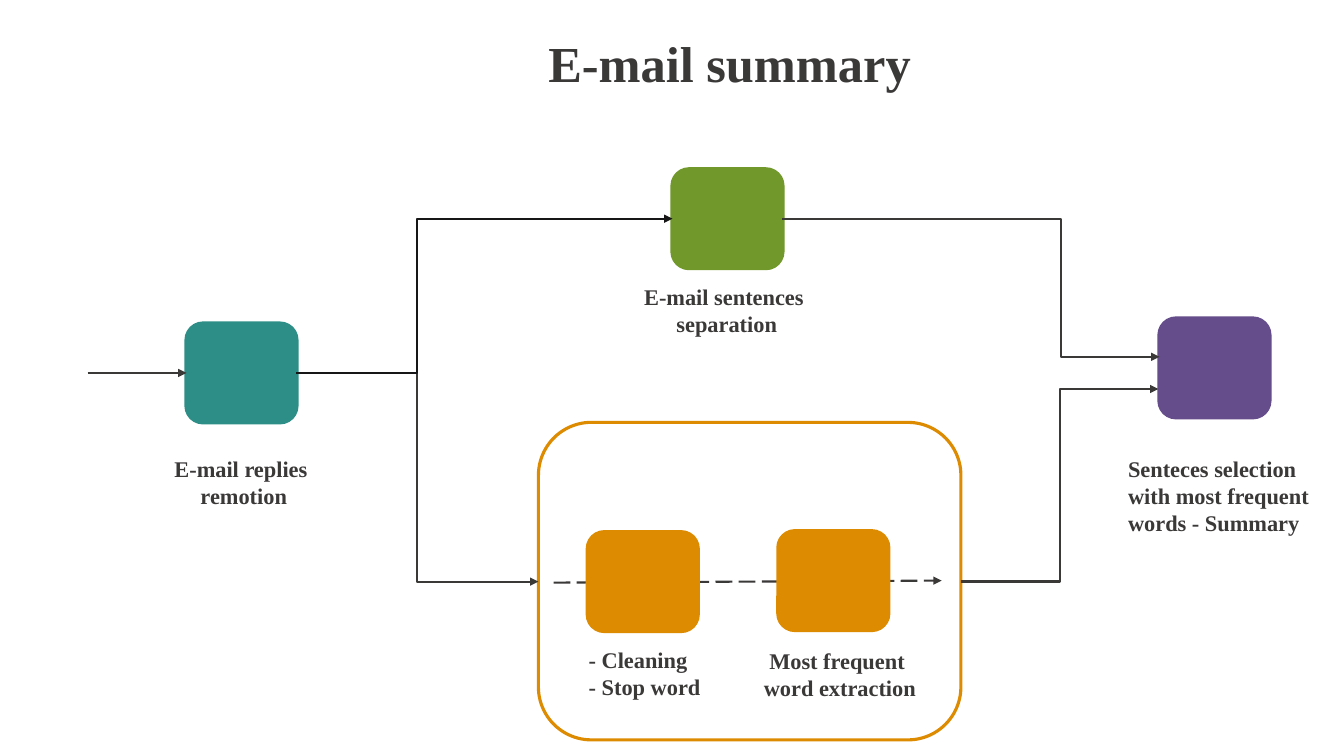
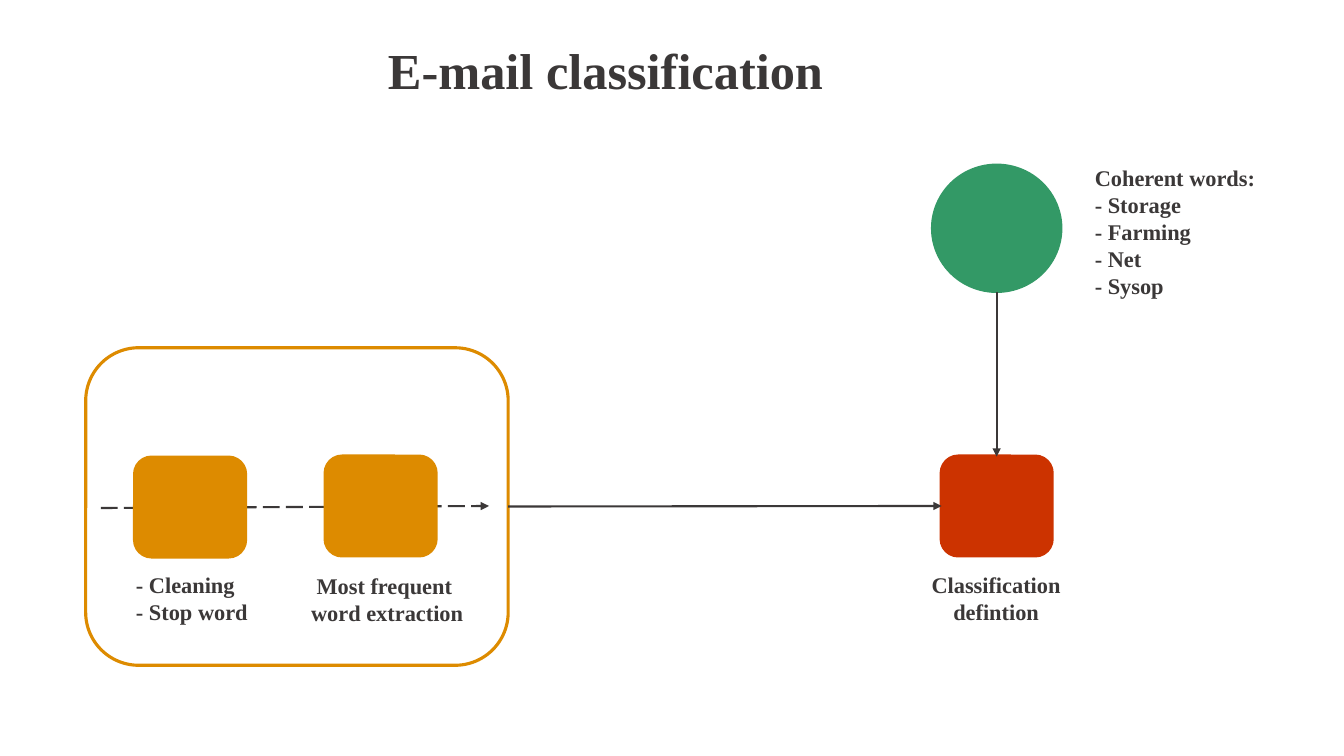
import dataclasses

import lxml.etree
import pptx
import pptx.dml.color
import pptx.enum.dml
import pptx.enum.shapes
import pptx.enum.text
import pptx.oxml.ns
import pptx.util

SHAPE = pptx.enum.shapes.MSO_SHAPE
CONNECTOR = pptx.enum.shapes.MSO_CONNECTOR
ALIGN = pptx.enum.text.PP_ALIGN
TOP, LEFT, BOTTOM, RIGHT = range(4)


@dataclasses.dataclass(frozen=True)
class Theme:
    font: str = "Times New Roman"
    title_size: float = 36
    label_size: float = 16
    ink: str = "3B3838"
    black: str = "181717"
    teal: str = "2D8E87"
    olive: str = "71982B"
    orange: str = "DD8B00"
    purple: str = "654C8A"
    red: str = "CC3300"
    green: str = "339966"
    arrow_width: float = 1.5
    frame_width: float = 2.25
    step_width: float = 3


class FlowDeck:
    """Draws flow charts on a grid of square cells, 75 rows to the slide."""

    ROWS = 75
    STEP = (10.9, 9.8)

    def __init__(self, theme):
        self.theme = theme
        self.deck = pptx.Presentation()
        self.deck.slide_width = pptx.util.Inches(13.33)
        self.deck.slide_height = pptx.util.Inches(7.5)
        self.shapes = None

    def cells(self, *counts):
        return [round(count * self.deck.slide_height / self.ROWS) for count in counts]

    def color(self, code):
        return pptx.dml.color.RGBColor.from_string(code)

    def page(self, title, column, row):
        page = self.deck.slides.add_slide(self.deck.slide_layouts[6])
        self.shapes = page.shapes
        self.text([title], column, row, 83.3, 7.1, size=self.theme.title_size)

    def text(self, lines, column, row, width, height,
             align=ALIGN.LEFT, size=None, shapes=None):
        box = (shapes or self.shapes).add_textbox(*self.cells(column, row, width, height))
        frame = box.text_frame
        frame.word_wrap = True
        frame.auto_size = pptx.enum.text.MSO_AUTO_SIZE.SHAPE_TO_FIT_TEXT
        frame.text = "\n".join(lines)
        for para in frame.paragraphs:
            para.alignment = align
            para.font.name = self.theme.font
            para.font.size = pptx.util.Pt(size or self.theme.label_size)
            para.font.bold = True
            para.font.color.rgb = self.color(self.theme.ink)

    def box(self, kind, column, row, width, height, color,
            line_width, filled=True, shapes=None):
        box = (shapes or self.shapes).add_shape(
            kind, *self.cells(column, row, width, height))
        box.shadow.inherit = False
        if filled:
            box.fill.solid()
            box.fill.fore_color.rgb = self.color(color)
        else:
            box.fill.background()
        box.line.color.rgb = self.color(color)
        box.line.width = pptx.util.Pt(line_width)
        return box

    def step(self, column, row, color, shapes=None):
        return self.box(SHAPE.ROUNDED_RECTANGLE, column, row, *self.STEP, color,
                        self.theme.step_width, shapes=shapes)

    def arrow(self, start, end, color=None, bend=None, dashed=False, shapes=None):
        """Each end is a (column, row) point or a (shape, side) pair."""
        ends = [(point, not isinstance(point[0], (int, float))) for point in (start, end)]
        points = [(0, 0) if joined else point for point, joined in ends]
        kind = CONNECTOR.STRAIGHT if bend is None else CONNECTOR.ELBOW
        arrow = (shapes or self.shapes).add_connector(
            kind, *self.cells(*points[0], *points[1]))
        for (point, joined), connect in zip(ends, (arrow.begin_connect, arrow.end_connect)):
            if joined:
                connect(*point)
        arrow.line.color.rgb = self.color(color or self.theme.ink)
        arrow.line.width = pptx.util.Pt(self.theme.arrow_width)
        if dashed:
            arrow.line.dash_style = pptx.enum.dml.MSO_LINE.LONG_DASH

        # Arrowhead, bend position and no shadow
        qn = pptx.oxml.ns.qn
        properties = arrow.element.spPr
        lxml.etree.SubElement(properties.find(qn("a:ln")), qn("a:tailEnd"), type="triangle")
        lxml.etree.SubElement(properties, qn("a:effectLst"))
        if bend is not None:
            guides = properties.find(qn("a:prstGeom")).find(qn("a:avLst"))
            lxml.etree.SubElement(guides, qn("a:gd"), name="adj1",
                                  fmla=f"val {round(bend * 100000)}")

    def word_extraction(self, column, row):
        """Framed pair of steps, grouped; returns the frame."""
        shapes = self.shapes.add_group_shape().shapes
        self.arrow((column + 1.5, row + 15.9), (column + 40, row + 15.7),
                   dashed=True, shapes=shapes)
        frame = self.box(SHAPE.ROUNDED_RECTANGLE, column, row, 41.9, 31.5,
                         self.theme.orange, self.theme.frame_width,
                         filled=False, shapes=shapes)
        for left, top in ((4.9, 10.9), (23.8, 10.8)):
            self.step(column + left, row + top, self.theme.orange, shapes)
        self.text(["- Cleaning", "- Stop word"], column + 4, row + 21.7, 14.8, 9.4,
                  shapes=shapes)
        self.text(["Most frequent ", "word extraction"], column + 21.2, row + 21.8,
                  17.4, 9.4, ALIGN.CENTER, shapes=shapes)
        return frame

    def save(self):
        self.deck.save("out.pptx")


def summary_page(flow):
    theme = flow.theme
    flow.page("E-mail summary", 53.4, 2.7)

    # Steps
    replies = flow.step(18.5, 32.1, theme.teal)
    flow.step(66.7, 16.8, theme.olive)
    flow.word_extraction(53.4, 41.9)
    flow.step(115, 31.6, theme.purple)

    # Labels
    flow.text(["E-mail replies", " remotion"], 16, 44.7, 15.8, 9.4, ALIGN.CENTER)
    flow.text(["E-mail sentences", " separation"], 62.4, 27.6, 18.8, 9.4, ALIGN.CENTER)
    flow.text(["Senteces selection with most frequent words - Summary"],
              110.9, 44.7, 22.3, 12.1)

    # Arrows
    flow.arrow((8.7, 37), (replies, LEFT))
    flow.arrow((29.4, 37), (53.4, 57.7), bend=0.5)
    flow.arrow((29.4, 37), (66.7, 21.7), theme.black, bend=0.32)
    flow.arrow((77.6, 21.7), (115, 35.4), bend=0.74)
    flow.arrow((95.3, 57.7), (114.9, 38.6), bend=0.5)


def classification_page(flow):
    theme = flow.theme
    flow.page("E-mail classification", 37.5, 3.4)

    # Steps
    extraction = flow.word_extraction(8.5, 34.5)
    classification = flow.step(93.4, 45.3, theme.red)
    words = flow.box(SHAPE.OVAL, 92.4, 16.3, 12.9, 12.7, theme.green, 1)

    # Labels
    flow.text(["Classification defintion"], 90.1, 56.2, 17.4, 9.4, ALIGN.CENTER)
    flow.text(["Coherent words:", "- Storage", "- Farming", "- Net", "- Sysop"],
              107.6, 15.8, 21.1, 17.5)

    # Arrows; an oval has eight joints, the fifth at its bottom
    flow.arrow((extraction, RIGHT), (classification, LEFT))
    flow.arrow((98.85, 29), (classification, TOP))


def main():
    flow = FlowDeck(Theme())
    summary_page(flow)
    classification_page(flow)
    flow.save()


if __name__ == "__main__":
    main()
